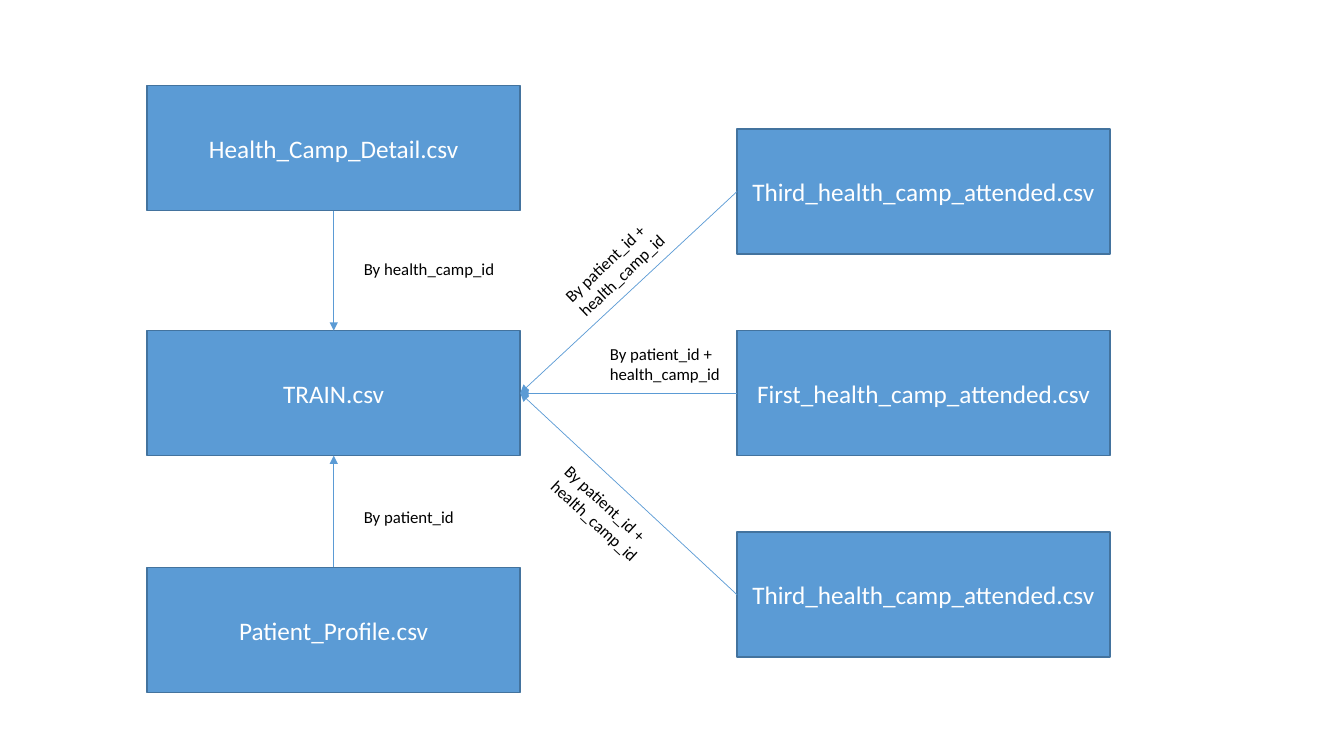
from pptx import Presentation
from pptx.dml.color import RGBColor
from pptx.enum.shapes import MSO_CONNECTOR as Connector, MSO_SHAPE as Shape
from pptx.enum.text import MSO_ANCHOR as Anchor, MSO_AUTO_SIZE as AutoSize, PP_ALIGN as Align
from pptx.oxml.ns import qn
from pptx.util import Emu, Pt
from lxml.etree import SubElement

PX = 9144  # 100 px to the inch
BLUE, EDGE, WHITE, BLACK = "5B9BD5", "43739E", "FFFFFF", "000000"
FILE_WIDTH, FILE_HEIGHT = 370, 124
LABEL_WIDTH = 166
TOP, LEFT, BOTTOM, RIGHT = range(4)  # connection sites
JOINT_KEY = "By patient_id + health_camp_id"


def px(value):
    return Emu(value * PX)


def color(value):
    return RGBColor.from_string(value)


def add_text(frame, text, size, ink):
    frame.word_wrap = True
    para = frame.paragraphs[0]
    span = para.add_run()
    span.text = text
    span.font.name = "Calibri"
    span.font.size = Pt(size)
    span.font.color.rgb = color(ink)
    return para


def add_file(page, left, top, name):
    box = page.shapes.add_shape(Shape.RECTANGLE, px(left), px(top),
                                px(FILE_WIDTH), px(FILE_HEIGHT))
    box.shadow.inherit = False
    box.fill.solid()
    box.fill.fore_color.rgb = color(BLUE)
    box.line.color.rgb = color(EDGE)
    box.line.width = Pt(1)
    box.text_frame.vertical_anchor = Anchor.MIDDLE
    add_text(box.text_frame, name, 18, WHITE).alignment = Align.CENTER
    return box


def add_label(page, left, top, height, text, rotation=0):
    box = page.shapes.add_textbox(px(left), px(top), px(LABEL_WIDTH), px(height))
    box.rotation = rotation
    add_text(box.text_frame, text, 12, BLACK)
    box.text_frame.auto_size = AutoSize.SHAPE_TO_FIT_TEXT


def add_arrow(page, source, source_site, target, target_site):
    arrow = page.shapes.add_connector(Connector.STRAIGHT, 0, 0, 0, 0)
    arrow.begin_connect(source, source_site)
    arrow.end_connect(target, target_site)
    arrow.line.color.rgb = color(BLUE)
    arrow.line.width = Pt(0.5)
    SubElement(arrow.line._get_or_add_ln(), qn("a:tailEnd"), type="triangle")
    SubElement(arrow._element.spPr, qn("a:effectLst"))


def add_train_column(page, left, top):
    """Training file with the two lookup files above and below it."""
    detail = add_file(page, left, top, "Health_Camp_Detail.csv")
    train = add_file(page, left, top + 243, "TRAIN.csv")
    profile = add_file(page, left, top + 478, "Patient_Profile.csv")
    add_arrow(page, detail, BOTTOM, train, TOP)
    add_arrow(page, profile, TOP, train, BOTTOM)
    add_label(page, left + 205, top + 167, 30, "By health_camp_id")
    add_label(page, left + 205, top + 413, 30, "By patient_id")
    return train


def add_camp_column(page, left, top, train):
    """Attendance files, evenly spaced, each joined to the training file."""
    camps = [
        # name, label offset from the column's corner, label rotation
        ("Third_health_camp_attended.csv", -191, 100, 316.5),
        ("First_health_camp_attended.csv", -136, 208, 0),
        ("Third_health_camp_attended.csv", -204, 369, 42.8),
    ]
    for row, (name, label_x, label_y, rotation) in enumerate(camps):
        camp = add_file(page, left, top + row * 200, name)
        add_arrow(page, camp, LEFT, train, RIGHT)
        add_label(page, left + label_x, top + label_y, 50, JOINT_KEY, rotation)


def main():
    deck = Presentation()
    deck.slide_width, deck.slide_height = px(1333), px(750)
    page = deck.slides.add_slide(deck.slide_layouts[6])
    train = add_train_column(page, 146, 85)
    add_camp_column(page, 731, 128, train)
    deck.save("out.pptx")


if __name__ == "__main__":
    main()
